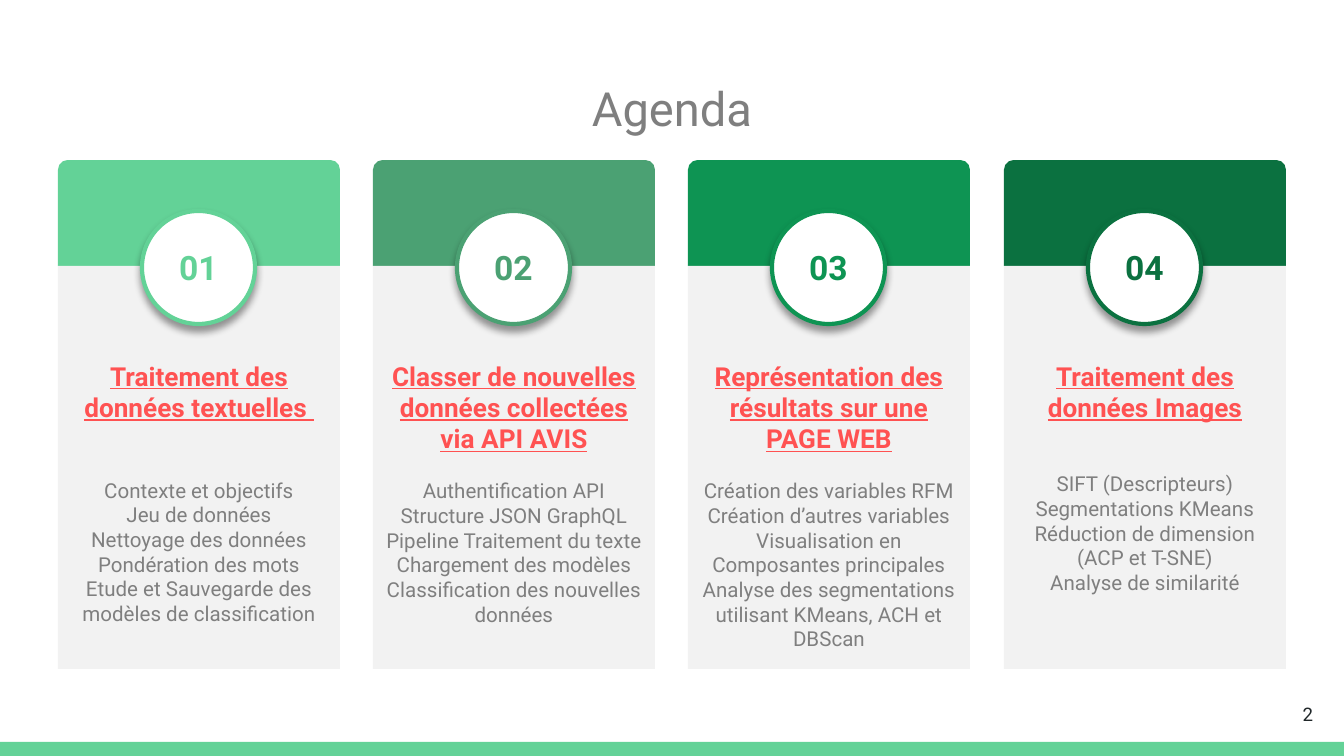
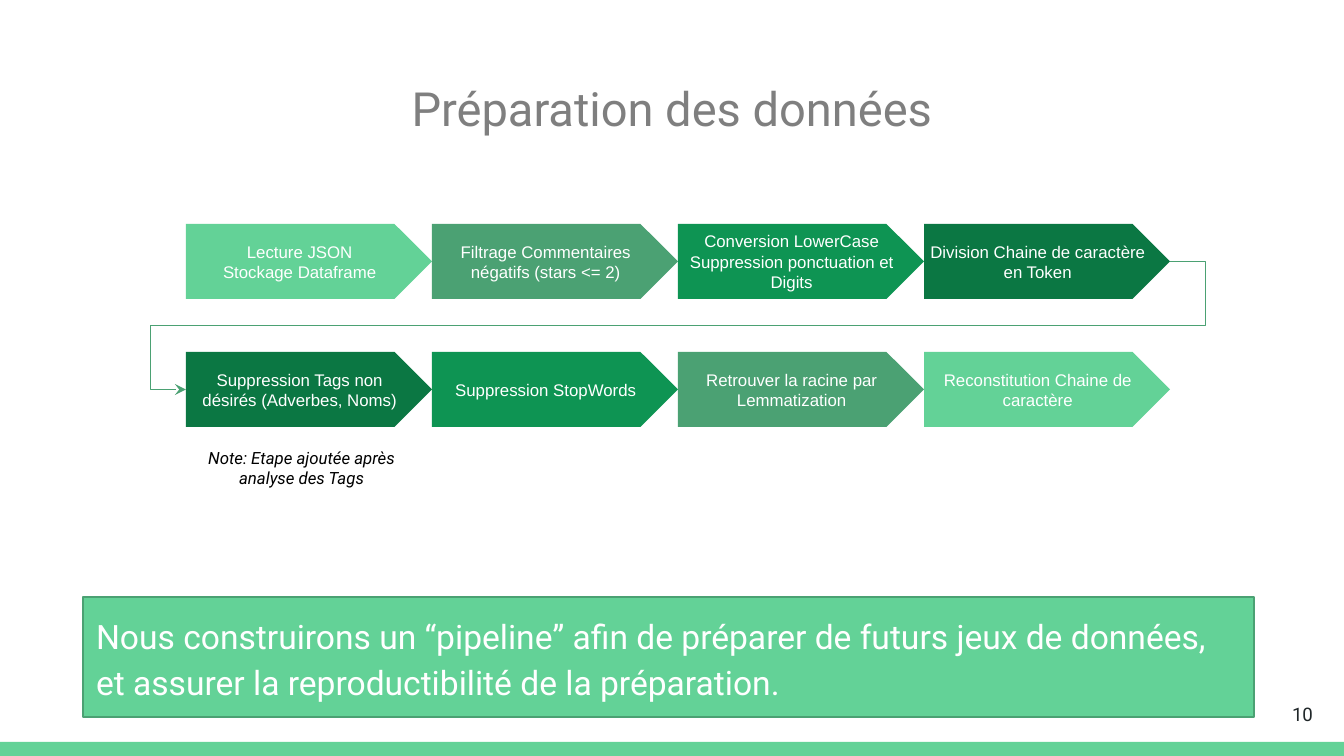
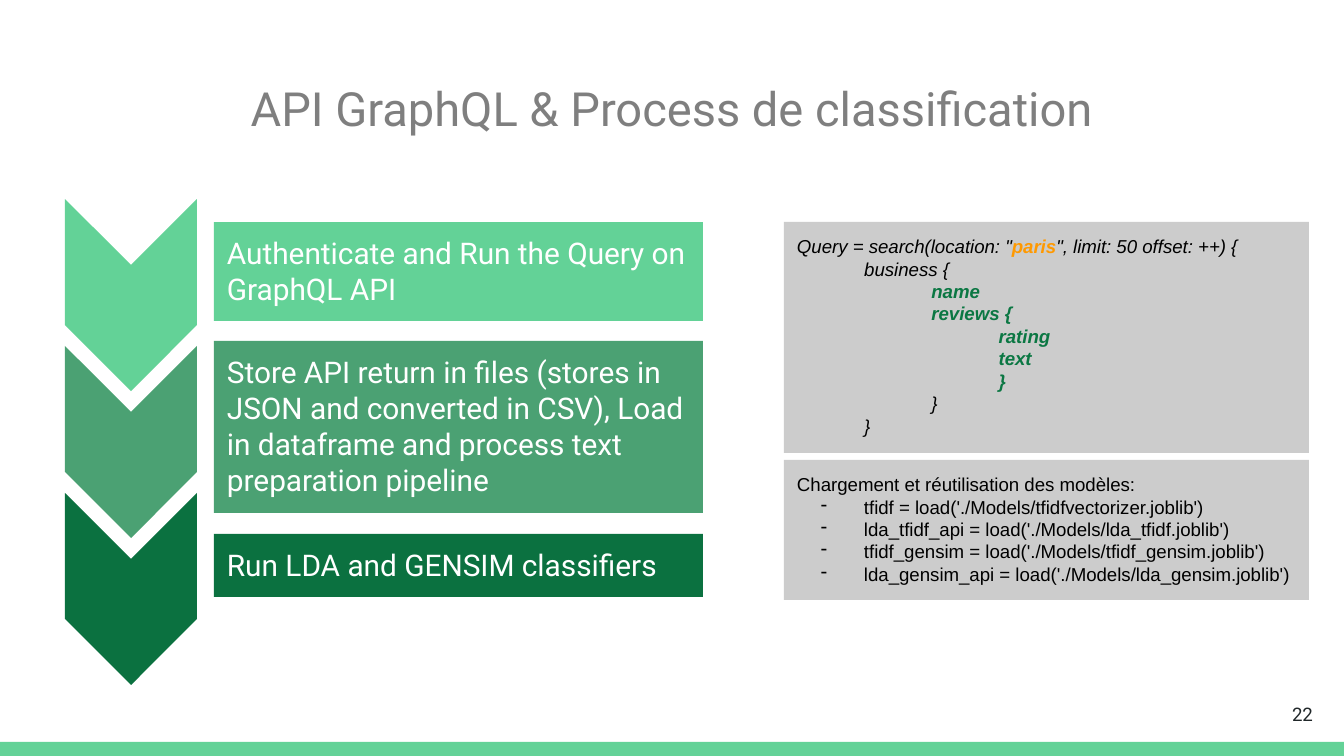
"""Builds three slides on text preparation and classification."""
from lxml.etree import SubElement
from pptx import Presentation
from pptx.dml.color import RGBColor
from pptx.enum.shapes import MSO_CONNECTOR, MSO_SHAPE
from pptx.enum.text import MSO_ANCHOR as ANCHOR, MSO_AUTO_SIZE as FIT, PP_ALIGN as ALIGN
from pptx.oxml.ns import qn
from pptx.util import Emu, Pt

MINT = RGBColor(0x63, 0xD2, 0x97)
SAGE = RGBColor(0x4B, 0xA1, 0x73)
GREEN = RGBColor(0x0E, 0x94, 0x53)
PINE = RGBColor(0x0B, 0x77, 0x43)
FOREST = RGBColor(0x0B, 0x71, 0x40)
WHITE = RGBColor(0xFF, 0xFF, 0xFF)
BLACK = RGBColor(0x00, 0x00, 0x00)
INK = RGBColor(0x20, 0x27, 0x29)
GREY = RGBColor(0x7F, 0x7F, 0x7F)
PALE = RGBColor(0xF2, 0xF2, 0xF2)
SILVER = RGBColor(0xCC, 0xCC, 0xCC)
CORAL = RGBColor(0xFF, 0x52, 0x52)
ORANGE = RGBColor(0xFF, 0x99, 0x00)

PAD = (13, 13, 13, 13)
RECT = MSO_SHAPE.RECTANGLE


def px(n):
    return Emu(round(n * 914400 / 134.4))


class Deck:
    """Holds the presentation, its style and the current slide."""

    def __init__(self):
        self.prs = Presentation()
        self.prs.slide_width, self.prs.slide_height = px(1344), px(756)
        self.layout = self.prs.slide_layouts[5]
        self.s = None

    def slide(self, title, number):
        first = self.s is None
        self.s = self.prs.slides.add_slide(self.layout)
        if first:
            self.band()
        sp = self.s.shapes.title
        sp.left, sp.top, sp.width, sp.height = px(46), px(66), px(1252), px(85)
        tf = self.frame(sp, PAD)
        self.para(tf, title, size=25.2, color=GREY, align=ALIGN.CENTER)
        tf = self.textbox(1246, 685, 80, 58)
        self.para(tf, str(number), size=10, color=INK, align=ALIGN.RIGHT)

    def band(self):
        sp = self.shape(RECT, 0, 742, 1344, 14, MINT)
        sp.element.nvSpPr.cNvPr.id = 20
        self.layout.shapes.element.append(sp.element)

    def shape(self, kind, x, y, w, h, fill, line=None, weight=0.75, adj=None, group=None):
        shapes = (group or self.s).shapes
        sp = shapes.add_shape(kind, px(x), px(y), px(w), px(h))
        sp.shadow.inherit = False
        sp.fill.solid()
        sp.fill.fore_color.rgb = fill
        if line is None:
            sp.line.fill.background()
        else:
            sp.line.color.rgb = line
            sp.line.width = Pt(weight)
        if adj is not None:
            sp.adjustments[0] = adj
        return sp

    def textbox(self, x, y, w, h):
        sp = self.s.shapes.add_textbox(px(x), px(y), px(w), px(h))
        return self.frame(sp, PAD, ANCHOR.MIDDLE)

    def frame(self, sp, pad, anchor=ANCHOR.TOP, fit=FIT.NONE):
        tf = sp.text_frame
        tf.word_wrap = True
        tf.auto_size = fit
        tf.vertical_anchor = anchor
        tf.margin_left, tf.margin_top, tf.margin_right, tf.margin_bottom = map(px, pad)
        return tf

    def panel(self, x, y, w, h, fill):
        sp = self.shape(RECT, x, y, w, h, fill)
        return self.frame(sp, PAD, fit=FIT.SHAPE_TO_FIT_TEXT)

    def para(self, tf, *runs, size, color, font="Roboto", align=ALIGN.LEFT,
             bold=False, italic=False, underline=False, before=None, bullet=None):
        p = tf.paragraphs[0]
        if p.runs:
            p = tf.add_paragraph()
        p.alignment = align
        if before:
            p.space_before = Pt(before)
        if bullet:
            self.bullet(p, bullet, color)
        for run in runs:
            text, run_color, run_bold = (run, color, bold) if isinstance(run, str) else run
            r = p.add_run()
            r.text = text
            r.font.name, r.font.size = font, Pt(size)
            r.font.color.rgb = run_color
            r.font.bold, r.font.italic, r.font.underline = run_bold, italic, underline
        return p

    def bullet(self, p, char, color):
        pPr = p._p.get_or_add_pPr()
        pPr.set("marL", str(px(67)))
        pPr.set("indent", str(px(-43)))
        clr = SubElement(pPr, qn("a:buClr"))
        SubElement(clr, qn("a:srgbClr"), val=str(color))
        SubElement(pPr, qn("a:buChar"), char=char)

    def drop_shadow(self, sp):
        effects = sp.element.spPr.find(qn("a:effectLst"))
        shadow = SubElement(effects, qn("a:outerShdw"), blurRad=str(Pt(4)), dist=str(Pt(3)),
                            dir="5400000", algn="t", rotWithShape="0")
        clr = SubElement(shadow, qn("a:srgbClr"), val="000000")
        SubElement(clr, qn("a:alpha"), val="40000")

    def loop_arrow(self, start, end, color):
        c = self.s.shapes.add_connector(MSO_CONNECTOR.ELBOW, 0, 0, 0, 0)
        c.begin_connect(start, 3)
        c.end_connect(end, 1)
        c.line.color.rgb = color
        c.line.width = Pt(0.75)
        spPr = c.element.spPr
        geom = spPr.find(qn("a:prstGeom"))
        geom.set("prst", "bentConnector5")
        guides = geom.find(qn("a:avLst"))
        for i, value in enumerate((-3600, 50000, 103600), 1):
            SubElement(guides, qn("a:gd"), name=f"adj{i}", fmla=f"val {value}")
        SubElement(spPr.find(qn("a:ln")), qn("a:tailEnd"), type="stealth")
        SubElement(spPr, qn("a:effectLst"))

    def card(self, x, number, color, heading, gap, items):
        group = self.s.shapes.add_group_shape()
        self.shape(MSO_SHAPE.ROUND_2_SAME_RECTANGLE, x, 160, 282, 106, color,
                   adj=0.09, group=group)
        sp = self.shape(RECT, x, 266, 282, 403, PALE, group=group)
        tf = self.frame(sp, (13, 94, 13, 7))
        self.para(tf, heading, size=14, color=CORAL, align=ALIGN.CENTER,
                  bold=True, underline=True)
        for i, item in enumerate(items):
            self.para(tf, item, size=11, color=GREY, align=ALIGN.CENTER,
                      before=0 if i else gap)
        sp = self.shape(MSO_SHAPE.OVAL, x + 84, 211, 113, 113, WHITE, color, 2.25)
        self.drop_shadow(sp)
        tf = self.frame(sp, (13, 7, 13, 7), ANCHOR.MIDDLE)
        self.para(tf, f"{number:02}", size=18, color=color, align=ALIGN.CENTER, bold=True)

    def step(self, x, y, color, lines):
        sp = self.shape(MSO_SHAPE.PENTAGON, x, y, 246, 75, color, adj=0.5)
        tf = self.frame(sp, (3, 3, 3, 3), ANCHOR.MIDDLE)
        for line in lines:
            self.para(tf, line, size=9, color=WHITE, font="Arial", align=ALIGN.CENTER)
        return sp


def agenda(deck):
    deck.slide("Agenda", 2)
    cards = [
        (MINT, "Traitement des données textuelles ", 29.5,
         ["Contexte et objectifs", "Jeu de données", "Nettoyage des données",
          "Pondération des mots", "Etude et Sauvegarde des modèles de classification"]),
        (SAGE, "Classer de nouvelles données collectées via API AVIS", 13,
         ["Authentification API", "Structure JSON GraphQL", "Pipeline Traitement du texte",
          "Chargement des modèles", "Classification des nouvelles données"]),
        (GREEN, "Représentation des résultats sur une PAGE WEB", 13,
         ["Création des variables RFM", "Création d’autres variables",
          "Visualisation en Composantes principales",
          "Analyse des segmentations utilisant KMeans, ACH et DBScan"]),
        (FOREST, "Traitement des données Images", 26,
         ["SIFT (Descripteurs)", "Segmentations KMeans",
          "Réduction de dimension (ACP et T-SNE)", "Analyse de similarité"]),
    ]
    for i, card in enumerate(cards):
        deck.card(58 + i * 946 // 3, i + 1, *card)


def preparation(deck):
    deck.slide("Préparation des données", 10)
    colors = [MINT, SAGE, GREEN, PINE]
    rows = [
        (224, colors,
         [["Lecture JSON", "Stockage Dataframe"],
          ["Filtrage Commentaires négatifs (stars <= 2)"],
          ["Conversion LowerCase", "Suppression ponctuation et Digits"],
          ["Division Chaine de caractère en Token"]]),
        (352, colors[::-1],
         [["Suppression Tags non désirés (Adverbes, Noms)"],
          ["Suppression StopWords"],
          ["Retrouver la racine par Lemmatization"],
          ["Reconstitution Chaine de caractère"]]),
    ]
    steps = [deck.step(186 + 246 * i, y, color, lines)
             for y, row_colors, texts in rows
             for i, (color, lines) in enumerate(zip(row_colors, texts))]
    deck.loop_arrow(steps[3], steps[4], SAGE)
    tf = deck.textbox(188, 441, 227, 53)
    deck.para(tf, "Note: Etape ajoutée après analyse des Tags", size=9, color=BLACK,
              align=ALIGN.CENTER, italic=True)
    sp = deck.shape(RECT, 83, 597, 1171, 120, MINT, SAGE)
    p = deck.para(deck.frame(sp, PAD),
                  "Nous construirons un “pipeline” afin de préparer de futurs jeux de données, "
                  "et assurer la reproductibilité de la préparation.", size=18, color=WHITE)
    p.line_spacing = 1.15
    p.space_after = Pt(12)


def classification(deck):
    deck.slide("API GraphQL & Process de classification", 22)
    tf = deck.panel(784, 222, 525, 231, SILVER)
    query = [
        ['Query = search(location: "', ("paris", ORANGE, True), '", limit: 50 offset: ++) {'],
        ["    \tbusiness {"],
        [("        \t\tname", PINE, True)],
        [("        \t\treviews {", PINE, True)],
        [("            \t\t\trating", PINE, True)],
        [("            \t\t\ttext", PINE, True)],
        [("            \t\t\t}", PINE, True)],
        ["        \t\t}"],
        ["    \t}"],
    ]
    for runs in query:
        deck.para(tf, *runs, size=10, color=BLACK, font="Arial", italic=True)
    for i, color in enumerate((MINT, SAGE, FOREST)):
        sp = deck.shape(MSO_SHAPE.CHEVRON, 35, 229 + 147 * i, 192, 132, color, adj=0.5)
        sp.rotation = 90
    stages = [
        (222, 99, MINT, "Authenticate and Run the Query on GraphQL API"),
        (341, 172, SAGE, "Store API return in files (stores in JSON and converted in CSV), "
                         "Load in dataframe and process text preparation pipeline"),
        (534, 63, FOREST, "Run LDA and GENSIM classifiers"),
    ]
    for y, h, color, text in stages:
        deck.para(deck.panel(214, y, 489, h, color), text, size=16, color=WHITE)
    tf = deck.panel(784, 460, 525, 140, SILVER)
    deck.para(tf, "Chargement et réutilisation des modèles:", size=10, color=BLACK, font="Arial")
    for line in ("tfidf = load('./Models/tfidfvectorizer.joblib')",
                 "lda_tfidf_api = load('./Models/lda_tfidf.joblib')",
                 "tfidf_gensim = load('./Models/tfidf_gensim.joblib')",
                 "lda_gensim_api = load('./Models/lda_gensim.joblib')"):
        deck.para(tf, line, size=10, color=BLACK, font="Arial", bullet="-")


def main():
    deck = Deck()
    agenda(deck)
    preparation(deck)
    classification(deck)
    deck.prs.save("out.pptx")


if __name__ == "__main__":
    main()
